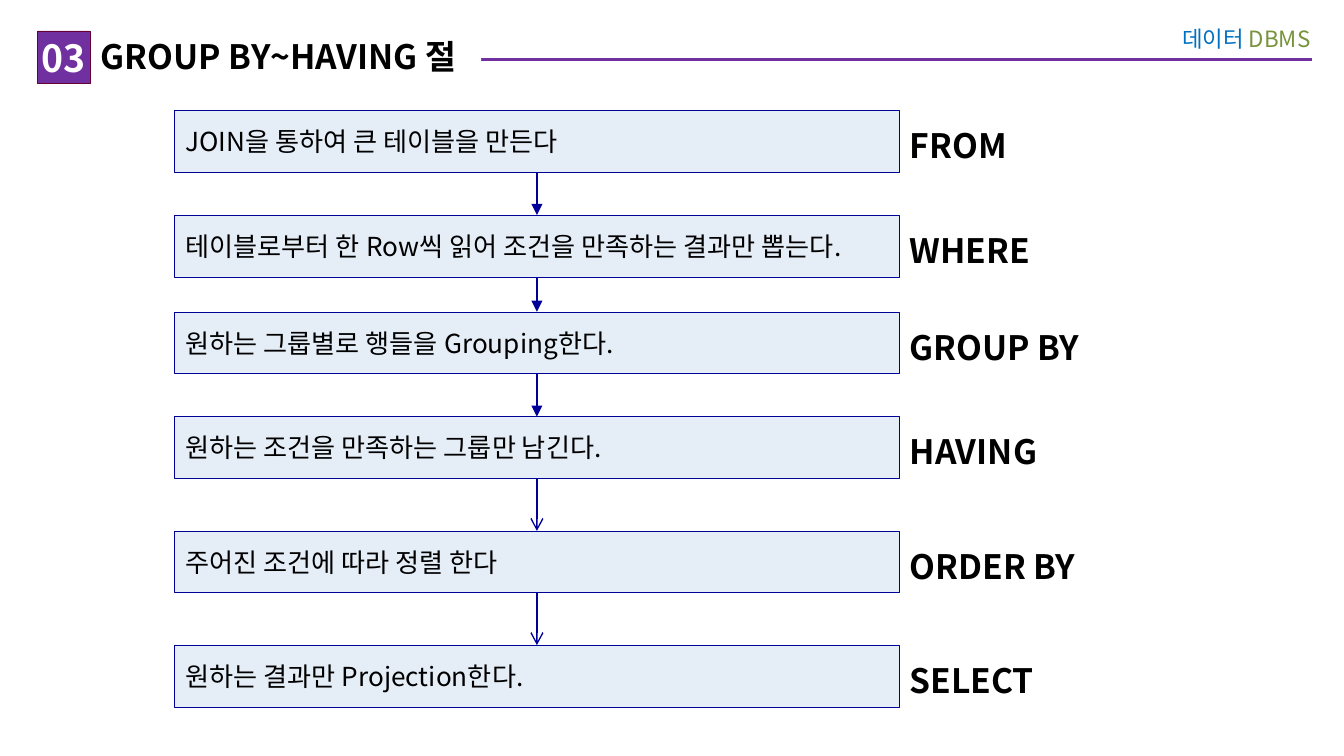
from itertools import pairwise
from pptx import Presentation
from pptx.dml.color import RGBColor
from pptx.enum.shapes import MSO_CONNECTOR, MSO_SHAPE
from pptx.enum.text import MSO_ANCHOR, MSO_AUTO_SIZE, PP_ALIGN
from pptx.oxml.ns import qn
from pptx.util import Inches, Pt
from lxml.etree import SubElement

FONT = "Noto Sans CJK KR"
BLACK, WHITE, PURPLE, NAVY, PALE = "000000", "FFFFFF", "7030A0", "000099", "E5EDF7"

NUMBER = "03"
TITLE = "GROUP BY~HAVING 절"
SUBJECT = [("데이터 ", "0070C0"), ("DBMS", "77933C")]
STEPS = [
    ("FROM", "JOIN을 통하여 큰 테이블을 만든다", 0),
    ("WHERE", "테이블로부터 한 Row씩 읽어 조건을 만족하는 결과만 뽑는다.", 0.32),
    ("GROUP BY", "원하는 그룹별로 행들을 Grouping한다.", 0.26),
    ("HAVING", "원하는 조건을 만족하는 그룹만 남긴다.", 0.32),
    ("ORDER BY", "주어진 조건에 따라 정렬 한다", 0.39),
    ("SELECT", "원하는 결과만 Projection한다.", 0.39),
]
ARROWHEADS = ["triangle"] * 3 + ["arrow"] * 2

WIDTH = 10
HEIGHT = WIDTH * 9 / 16
STEP_LEFT, STEP_TOP, STEP_WIDTH, STEP_HEIGHT = 1.3, 0.82, 5.39, 0.46
CLAUSE_LEFT, CLAUSE_WIDTH, CLAUSE_HEIGHT = 6.67, 1.91, 0.4
HEADER_TOP, RULE_Y = 0.23, 0.44


def color(hex_value):
    return RGBColor.from_string(hex_value)


def write(shape, runs, size, bold=False, align=PP_ALIGN.LEFT,
          anchor=MSO_ANCHOR.TOP, insets=(0.1, 0.05, 0.1, 0.05), wrap=True):
    frame = shape.text_frame
    frame.auto_size = MSO_AUTO_SIZE.NONE
    frame.word_wrap = wrap
    frame.vertical_anchor = anchor
    (frame.margin_left, frame.margin_top,
     frame.margin_right, frame.margin_bottom) = map(Inches, insets)
    paragraph = frame.paragraphs[0]
    paragraph.alignment = align
    for text, hex_value in runs:
        run = paragraph.add_run()
        run.text = text
        run.font.name = FONT
        run.font.size = Pt(size)
        run.font.bold = bold
        run.font.color.rgb = color(hex_value)
        run.font._element.set("kern", "0")
        SubElement(run.font._element, qn("a:ea"), typeface=FONT)


def add_box(slide, kind, place, fill, line):
    box = slide.shapes.add_shape(kind, *map(Inches, place))
    box.shadow.inherit = False
    box.fill.solid()
    box.fill.fore_color.rgb = color(fill)
    box.line.color.rgb = color(line)
    box.line.width = Pt(0.25)
    return box


def add_line(slide, start, end, hex_value, width, head=None):
    line = slide.shapes.add_connector(
        MSO_CONNECTOR.STRAIGHT, *map(Inches, start + end))
    line.line.color.rgb = color(hex_value)
    line.line.width = Pt(width)
    if head:
        SubElement(line.line._get_or_add_ln(), qn("a:tailEnd"), type=head)
    SubElement(line._element.spPr, qn("a:effectLst"))
    return line


def add_header(slide):
    title = slide.shapes.title
    title.left, title.top, title.width, title.height = map(
        Inches, (0.67, HEADER_TOP, 2.91, 0.38))
    title.fill.solid()
    title.fill.fore_color.rgb = color(WHITE)
    write(title, [(TITLE, BLACK)], 18, bold=True, insets=(0.08, 0.04, 0, 0.04))

    rule = add_line(slide, (9.76, RULE_Y), (0.71, RULE_Y), PURPLE, 1.5)
    title._element.addprevious(rule._element)

    subject = slide.shapes.add_textbox(*map(Inches, (8.31, 0.11, 1.54, 0.36)))
    write(subject, SUBJECT, 12, align=PP_ALIGN.RIGHT, insets=(0.1, 0.08, 0.1, 0.08))

    badge = add_box(slide, MSO_SHAPE.RECTANGLE, (0.28, HEADER_TOP, 0.39, 0.39),
                    PURPLE, "660033")
    write(badge, [(NUMBER, WHITE)], 20, bold=True, align=PP_ALIGN.CENTER,
          anchor=MSO_ANCHOR.MIDDLE, insets=(0, 0, 0, 0))


def add_steps(slide):
    steps = []
    top = STEP_TOP
    for clause, description, gap in STEPS:
        top += gap
        bottom = top + STEP_HEIGHT
        step = add_box(slide, MSO_SHAPE.FLOWCHART_PROCESS,
                       (STEP_LEFT, top, STEP_WIDTH, STEP_HEIGHT), PALE, NAVY)
        write(step, [(description, BLACK)], 14, anchor=MSO_ANCHOR.MIDDLE,
              insets=(0.08, 0, 0, 0), wrap=False)
        label = slide.shapes.add_textbox(*map(Inches, (
            CLAUSE_LEFT, bottom - CLAUSE_HEIGHT, CLAUSE_WIDTH, CLAUSE_HEIGHT)))
        write(label, [(clause, BLACK)], 18, bold=True)
        steps.append(step)
        top = bottom

    for (upper, lower), head in zip(pairwise(steps), ARROWHEADS):
        arrow = add_line(slide, (0, 0), (0, 0), NAVY, 0.75, head)
        arrow.begin_connect(upper, 2)
        arrow.end_connect(lower, 0)


def main():
    deck = Presentation()
    deck.slide_width, deck.slide_height = Inches(WIDTH), Inches(HEIGHT)
    slide = deck.slides.add_slide(deck.slide_layouts[5])
    add_header(slide)
    add_steps(slide)
    deck.save("out.pptx")


if __name__ == "__main__":
    main()
